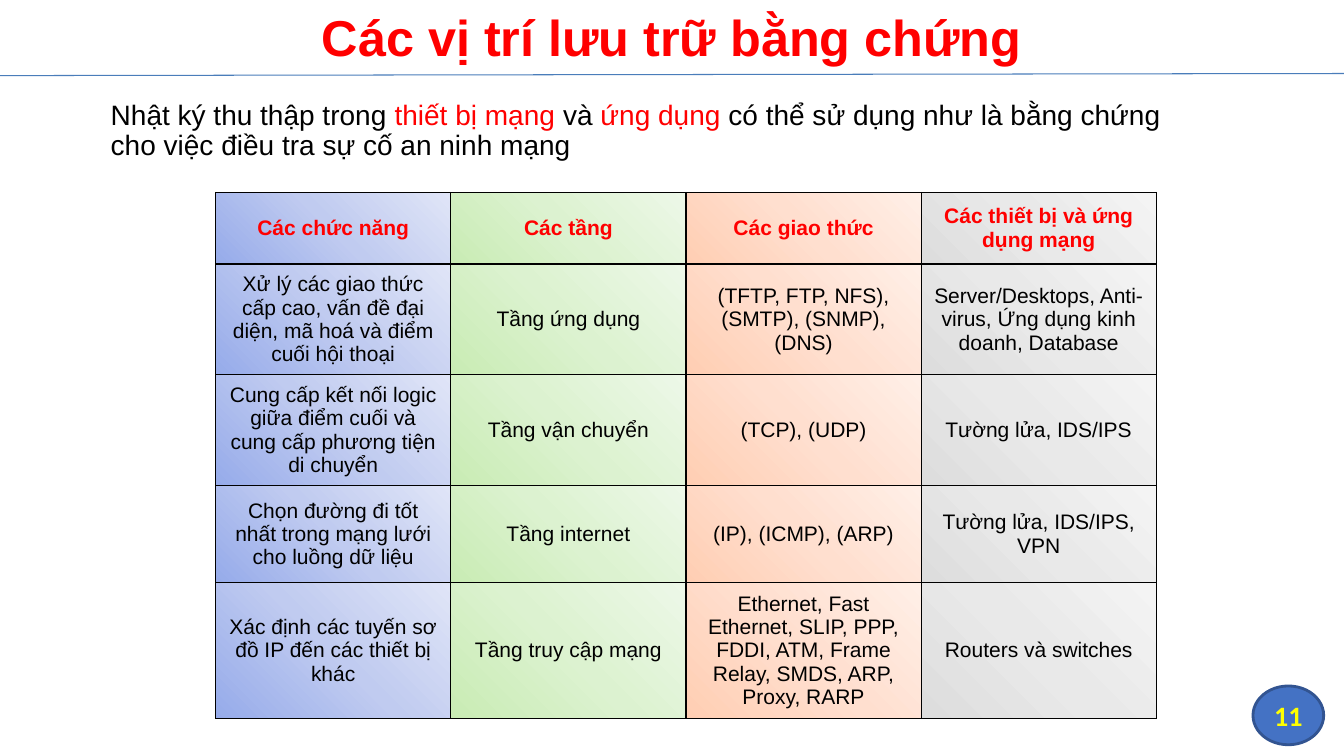
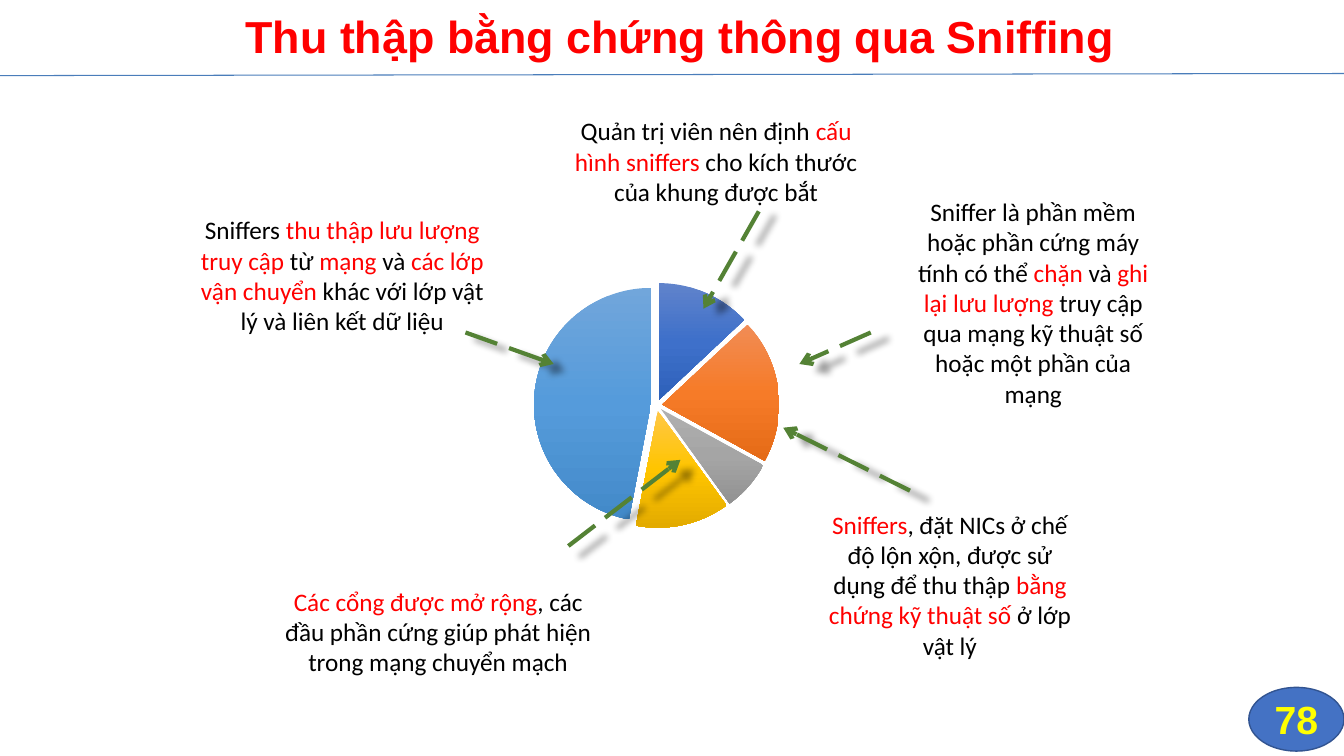
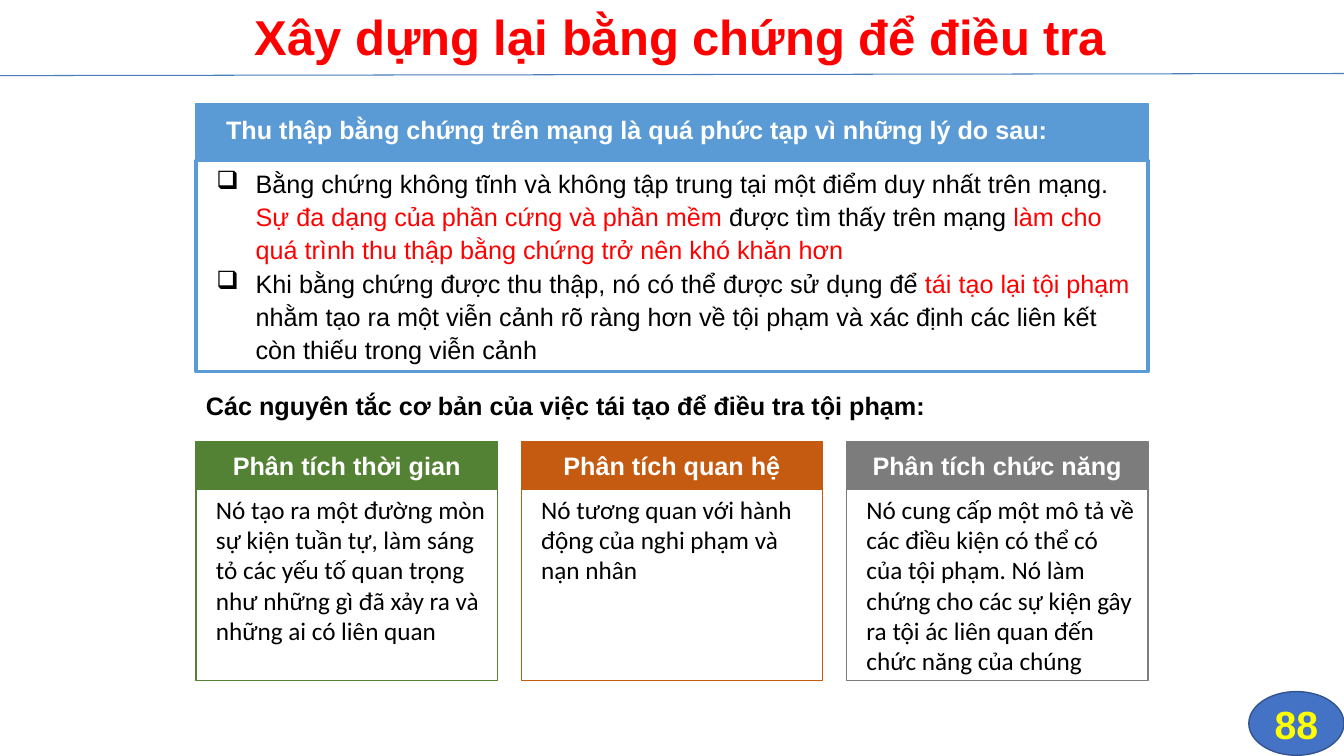
from lxml.etree import SubElement
from pptx import Presentation
from pptx.chart.data import CategoryChartData
from pptx.dml.color import RGBColor
from pptx.enum.chart import XL_CHART_TYPE as ChartType
from pptx.enum.dml import MSO_LINE as Dash
from pptx.enum.shapes import MSO_CONNECTOR as Connector, MSO_SHAPE as Preset
from pptx.enum.text import MSO_ANCHOR as Anchor, MSO_AUTO_SIZE as AutoSize, PP_ALIGN as Align
from pptx.oxml.ns import qn
from pptx.util import Pt

COLORS = {
    "text": "000000", "accent": "FF0000", "white": "FFFFFF", "rule": "4A7DBA",
    "badge": "4472C4", "badge_edge": "325491", "number": "FFFF00",
    "arrow": "548235", "reasons": "5B9BD5",
    "time": "548235", "relation": "C55A11", "function": "7C7C7C",
}
COLUMN_SHADES = [
    ("96ABEA", "C0CBF0", "E0E5F7"),
    ("C9ECB4", "DCF2D0", "EDF8E8"),
    ("FFCEB3", "FFDFCF", "FFEFE7"),
    ("DDDDDD", "E9E9E9", "F4F4F4"),
]
SLICE_SHADES = [
    ("6083CB", "3E70CA", "2E61BA"),
    ("F18C55", "F67B28", "E56B17"),
    ("AFAFAF", "A5A5A5", "929292"),
    ("FFC746", "FFC500", "E3AB00"),
    ("71A6DB", "559BDB", "438AC9"),
]
LAYERS = [
    ("Các chức năng", "Các tầng", "Các giao thức", "Các thiết bị và ứng dụng mạng"),
    ("Xử lý các giao thức cấp cao, vấn đề đại diện, mã hoá và điểm cuối hội thoại",
     "Tầng ứng dụng", "(TFTP, FTP, NFS), (SMTP), (SNMP), (DNS)",
     "Server/Desktops, Anti-virus, Ứng dụng kinh doanh, Database"),
    ("Cung cấp kết nối logic giữa điểm cuối và cung cấp phương tiện di chuyển",
     "Tầng vận chuyển", "(TCP), (UDP)", "Tường lửa, IDS/IPS"),
    ("Chọn đường đi tốt nhất trong mạng lưới cho luồng dữ liệu",
     "Tầng internet", "(IP), (ICMP), (ARP)", "Tường lửa, IDS/IPS, VPN"),
    ("Xác định các tuyến sơ đồ IP đến các thiết bị khác", "Tầng truy cập mạng",
     "Ethernet, Fast Ethernet, SLIP, PPP, FDDI, ATM, Frame Relay, SMDS, ARP, Proxy, RARP",
     "Routers và switches"),
]
ROW_HEIGHTS = (51, 74, 74, 69, 90)
SNIFFER_NOTES = [
    ((134, 138, 221, 117), "Sniffers *thu thập lưu lượng truy cập *từ *mạng* và "
     "*các lớp vận chuyển *khác với lớp vật lý và liên kết dữ liệu"),
    ((395, 78.5, 233, 73), "Quản trị viên nên định *cấu hình sniffers* cho kích thước "
     "của khung được bắt"),
    ((644.5, 136, 187, 160), "Sniffer là phần mềm hoặc phần cứng máy tính có thể *chặn* và "
     "*ghi lại lưu lượng *truy cập qua mạng kỹ thuật số hoặc một phần của mạng"),
    ((196.5, 404, 233, 94), "*Các cổng được mở rộng*, các đầu phần cứng giúp phát hiện "
     "trong mạng chuyển mạch"),
    ((582, 359, 193, 117), "*Sniffers*, đặt NICs ở chế độ lộn xộn, được sử dụng để thu thập "
     "*bằng chứng kỹ thuật số *ở lớp vật lý"),
]
NOTE_ARROWS = [
    (332.5, 237.5, 395.5, 260), (542, 151, 502.5, 220.5), (406, 390, 486, 328.5),
    (622, 237.5, 571, 260), (650, 350.5, 559.5, 305.5),
]
REASONS = (
    "Bằng chứng không tĩnh và không tập trung tại một điểm duy nhất trên mạng. "
    "*Sự đa dạng của phần cứng và phần mềm *được tìm thấy trên mạng "
    "*làm cho quá trình thu thập bằng chứng trở nên khó khăn hơn*\n"
    "Khi bằng chứng được thu thập, nó có thể được sử dụng để *tái tạo lại tội phạm *"
    "nhằm tạo ra một viễn cảnh rõ ràng hơn về tội phạm và xác định các liên kết "
    "còn thiếu trong viễn cảnh"
)
ANALYSES = [
    ("time", "Phân tích thời gian", "Nó tạo ra một đường mòn sự kiện tuần tự, làm sáng tỏ "
     "các yếu tố quan trọng như những gì đã xảy ra và những ai có liên quan"),
    ("relation", "Phân tích quan hệ", "Nó tương quan với hành động của nghi phạm và nạn nhân"),
    ("function", "Phân tích chức năng", "Nó cung cấp một mô tả về các điều kiện có thể có "
     "của tội phạm. Nó làm chứng cho các sự kiện gây ra tội ác liên quan đến chức năng của chúng"),
]


def rgb(name):
    """Return the colour stored under a name."""
    return RGBColor.from_string(COLORS[name])


def points(box):
    """Turn numbers into lengths in points."""
    return [Pt(length) for length in box]


def write(frame, text, size=18, font="Arial", color="text", bold=False, align=Align.LEFT,
          anchor=Anchor.TOP, spacing=1.0, left=0, hang=0, bullet=None):
    """Fill a frame: newlines part paragraphs, asterisks enclose accented words."""
    frame.word_wrap = True
    frame.vertical_anchor = anchor
    for index, line in enumerate(text.split("\n")):
        paragraph = frame.add_paragraph() if index else frame.paragraphs[0]
        props = paragraph._p.get_or_add_pPr()
        if left:
            props.set("marL", str(Pt(left)))
            props.set("indent", str(Pt(-hang)))
        if bullet:
            SubElement(props, qn("a:buChar"), char=bullet)
        paragraph.alignment = align
        paragraph.line_spacing = spacing
        for part, words in enumerate(line.split("*")):
            if words:
                run = paragraph.add_run()
                run.text = words
                run.font.size, run.font.name, run.font.bold = Pt(size), font, bold
                run.font.color.rgb = rgb("accent" if part % 2 else color)


def add_text(slide, box, text, **style):
    """Place a text box."""
    write(slide.shapes.add_textbox(*points(box)).text_frame, text, **style)


def add_panel(slide, box, text, fill, edge, weight=1, preset=Preset.RECTANGLE, **style):
    """Place a filled or hollow shape with its text."""
    panel = slide.shapes.add_shape(preset, *points(box))
    panel.shadow.inherit = False
    if fill:
        panel.fill.solid()
        panel.fill.fore_color.rgb = rgb(fill)
    else:
        panel.fill.background()
    panel.line.color.rgb = rgb(edge)
    panel.line.width = Pt(weight)
    write(panel.text_frame, text, **style)


def add_line(slide, ends, color, weight):
    """Draw a straight line and return it with its empty effect list."""
    line = slide.shapes.add_connector(Connector.STRAIGHT, *points(ends))
    line.line.color.rgb = rgb(color)
    line.line.width = Pt(weight)
    return line, SubElement(line._element.spPr, qn("a:effectLst"))


def add_arrow(slide, ends):
    """Draw a dashed arrow with a soft shadow."""
    arrow, effects = add_line(slide, ends, "arrow", 3)
    arrow.line.dash_style = Dash.LONG_DASH
    SubElement(arrow.line._get_or_add_ln(), qn("a:tailEnd"), type="arrow")
    shadow = SubElement(effects, qn("a:outerShdw"), blurRad=str(Pt(5)), sx="102000",
                        sy="102000", algn="ctr", rotWithShape="0")
    tone = SubElement(shadow, qn("a:srgbClr"), val=COLORS["text"])
    SubElement(tone, qn("a:alpha"), val="40000")


def shade(fill, owner, tones, angle):
    """Give a fill an evenly spaced gradient."""
    fill.gradient()
    fill.gradient_angle = angle
    stops = owner.find(".//" + qn("a:gsLst"))
    for stop in list(stops):
        stops.remove(stop)
    for index, tone in enumerate(tones):
        stop = SubElement(stops, qn("a:gs"), pos=str(100000 * index // (len(tones) - 1)))
        SubElement(stop, qn("a:srgbClr"), val=tone)


def start_slide(deck, title, box, size):
    """Add a slide with the shared title style and rule."""
    slide = deck.slides.add_slide(deck.slide_layouts[5])
    heading = slide.shapes.title
    heading.left, heading.top, heading.width, heading.height = points(box)
    heading.text_frame.auto_size = AutoSize.NONE
    write(heading.text_frame, title, size=size, color="accent", bold=True,
          align=Align.CENTER, anchor=Anchor.MIDDLE, spacing=0.9)
    add_line(slide, (0, 54, 960, 52.5), "rule", 0.75)
    return slide


def add_badge(slide, box, number, size=28, font="Arial", weight=1):
    """Place the slide number in an ellipse."""
    add_panel(slide, box, number, "badge", "badge_edge", weight, Preset.OVAL, size=size,
              font=font, color="number", bold=True, align=Align.CENTER, anchor=Anchor.MIDDLE)


def add_layer_table(slide, box):
    """Place the table of network layers."""
    table = slide.shapes.add_table(len(LAYERS), len(LAYERS[0]), *points(box)).table
    table.first_row = table.horz_banding = False
    for row, height in zip(table.rows, ROW_HEIGHTS):
        row.height = Pt(height)
    for r, layer in enumerate(LAYERS):
        for c, text in enumerate(layer):
            cell = table.cell(r, c)
            props = cell._tc.get_or_add_tcPr()
            for side in ("lnL", "lnR", "lnT", "lnB"):
                border = SubElement(props, qn("a:" + side), w=str(Pt(1)))
                paint = SubElement(border, qn("a:solidFill"))
                SubElement(paint, qn("a:srgbClr"), val=COLORS["text"])
            shade(cell.fill, props, COLUMN_SHADES[c], 45)
            write(cell.text_frame, text, size=15, color="text" if r else "accent",
                  bold=r == 0, align=Align.CENTER)
            cell.vertical_anchor = Anchor.MIDDLE


def add_share_pie(slide, box):
    """Place the exploded pie."""
    shares = CategoryChartData()
    shares.categories = ["1", "2", "3", "4", "5"]
    shares.add_series("Series 1", (13, 20, 7, 13, 47))
    chart = slide.shapes.add_chart(ChartType.PIE, *points(box), shares).chart
    chart.has_legend = chart.has_title = False
    chart.font.size, chart.font.name = Pt(18), "Calibri"
    chart.font.color.rgb = rgb("text")
    plot = chart.plots[0]
    plot.vary_by_categories = True
    series = plot.series[0]
    for index, tones in enumerate(SLICE_SHADES):
        wedge = series.points[index].format
        shade(wedge.fill, wedge._element, tones, 270)
        wedge.line.fill.background()
        burst = SubElement(wedge._element, qn("c:explosion"), val="5")
        wedge._element.find(qn("c:spPr")).addprevious(burst)


def add_analysis_cards(slide, box, gap=17, head=34):
    """Place the titled cards side by side in a box."""
    left, top, width, height = box
    card = round((width - gap * (len(ANALYSES) - 1)) / len(ANALYSES), 2)
    for index, (tone, title, text) in enumerate(ANALYSES):
        x = left + index * (card + gap)
        add_panel(slide, (x, top + head, card, height - head), text, None, tone,
                  font="Calibri", left=7.2)
        add_panel(slide, (x, top, card, head), title, tone, tone, color="white", bold=True,
                  align=Align.CENTER, anchor=Anchor.MIDDLE)


def build_locations(deck):
    """Build the slide on where evidence is kept."""
    slide = start_slide(deck, "Các vị trí lưu trữ bằng chứng", (104, 2, 752, 54), 36)
    add_text(slide, (72, 69, 791, 52),
             "Nhật ký thu thập trong *thiết bị mạng *và *ứng dụng *có thể sử dụng như là "
             "bằng chứng cho việc điều tra sự cố an ninh mạng", size=20, spacing=0.9)
    add_layer_table(slide, (154, 137.5, 672, sum(ROW_HEIGHTS)))
    add_badge(slide, (895, 490, 50.5, 42), "11", size=20, font="Calibri", weight=2)


def build_sniffing(deck):
    """Build the slide on sniffing."""
    slide = start_slide(deck, "Thu thập bằng chứng thông qua Sniffing", (162, 0, 648, 55.5), 32)
    add_share_pie(slide, (313, 192, 312, 195))
    for box, text in SNIFFER_NOTES:
        add_text(slide, box, text, font="Calibri", align=Align.CENTER, anchor=Anchor.MIDDLE)
    for ends in NOTE_ARROWS:
        add_arrow(slide, ends)
    add_badge(slide, (892, 491, 68, 45.5), "78")


def build_reconstruction(deck):
    """Build the slide on rebuilding evidence."""
    slide = start_slide(deck, "Xây dựng lại bằng chứng để điều tra", (162.5, 0.5, 648, 55.5), 35)
    add_panel(slide, (140, 74, 680, 40),
              "Thu thập bằng chứng trên mạng là quá phức tạp vì những lý do sau:",
              "reasons", "reasons", color="white", bold=True, anchor=Anchor.MIDDLE,
              spacing=0.9, left=14.4)
    add_panel(slide, (140, 114.5, 680, 151), REASONS, None, "reasons", 2.25,
              spacing=1.1, left=35.5, hang=28, bullet="❑")
    add_text(slide, (140, 275, 584, 29),
             "Các nguyên tắc cơ bản của việc tái tạo để điều tra tội phạm:", bold=True)
    add_analysis_cards(slide, (140, 315.5, 680, 170.5))
    add_badge(slide, (892, 494, 68, 45.5), "88")


def main():
    """Build and save the deck."""
    deck = Presentation()
    deck.slide_width, deck.slide_height = Pt(960), Pt(540)
    build_locations(deck)
    build_sniffing(deck)
    build_reconstruction(deck)
    deck.save("out.pptx")


if __name__ == "__main__":
    main()
